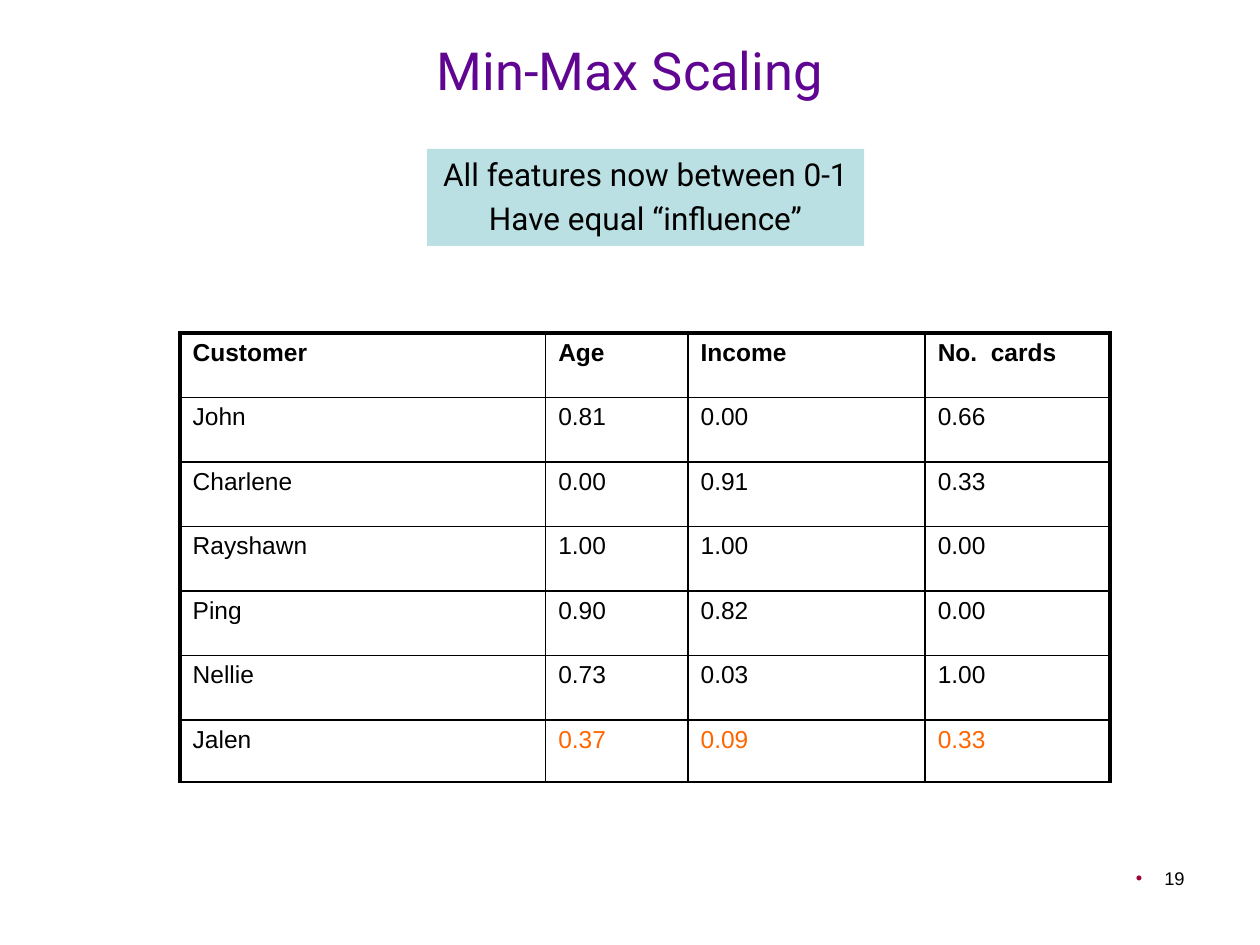
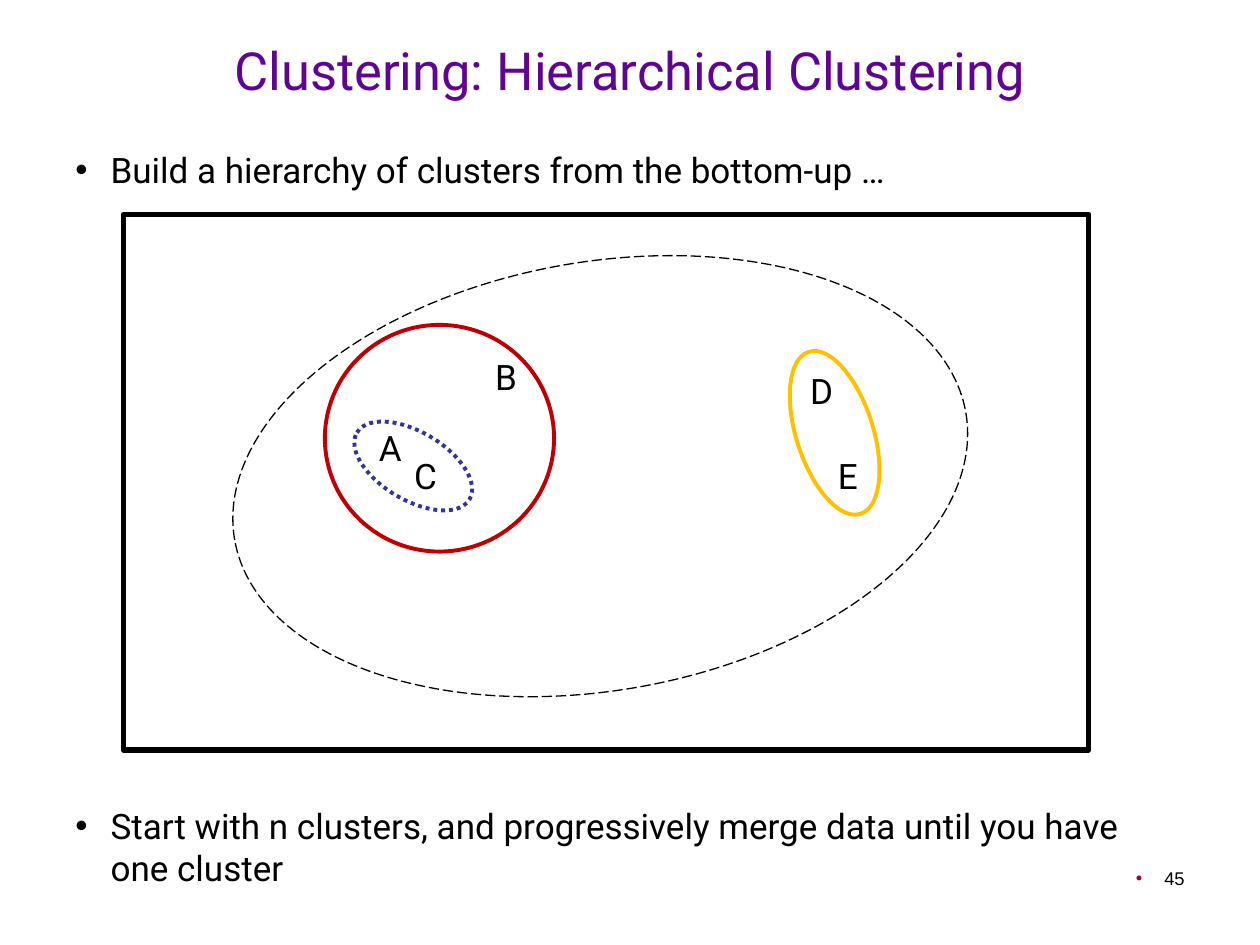
import pptx
import pptx.dml.color
import pptx.enum.dml
import pptx.enum.shapes
import pptx.enum.text
import pptx.oxml
import pptx.oxml.ns
import pptx.util
from pptx.util import Cm

BLACK, PURPLE, WINE, ORANGE, TEAL = "000000", "600592", "990033", "FF6600", "BBE0E3"
ALIGN = pptx.enum.text.PP_ALIGN
ANCHOR = pptx.enum.text.MSO_ANCHOR
DASH = pptx.enum.dml.MSO_LINE
SHAPE = pptx.enum.shapes.MSO_SHAPE
NAMESPACE = pptx.oxml.ns.nsdecls("a")

TITLE_FONT = {"name": "Roboto", "size": 30, "color": PURPLE}
BODY_FONT = {"name": "Roboto", "size": 20, "color": BLACK}
CALLOUT_FONT = BODY_FONT | {"size": 18}
NUMBER_FONT = {"name": "Arial", "size": 10.5, "color": BLACK}
CELL_FONT = {"name": "Arial", "size": 14, "color": BLACK, "bold": False}

TITLE_BOX = (1.27, 0.38, 22.86, 2.03)
NUMBER_BOX = (18.21, 17.35, 5.92, 1.32)

COLUMN_WIDTHS = (7.37, 2.87, 4.78, 3.73)
ROW_HEIGHTS = (1.3,) * 6 + (1.25,)
CUSTOMERS = (
    ("Customer", "Age", "Income", "No.  cards"),
    ("John", "0.81", "0.00", "0.66"),
    ("Charlene", "0.00", "0.91", "0.33"),
    ("Rayshawn", "1.00", "1.00", "0.00"),
    ("Ping", "0.90", "0.82", "0.00"),
    ("Nellie", "0.73", "0.03", "1.00"),
    ("Jalen", "0.37", "0.09", "0.33"),
)

POINTS = {"A": (4.9, 4.16), "E": (14.15, 4.72), "D": (13.59, 3.0), "C": (5.61, 4.72), "B": (7.24, 2.72)}
CLUSTERS = (
    ((4.52, 4.39, 2.64, 1.37), 30.7, "333399", 2.25, DASH.ROUND_DOT),
    ((12.62, 3.63, 3.43, 1.55), 72.3, "FFC000", 2.25, None),
    ((4.06, 2.23, 4.62, 4.57), 0, "C00000", 2.25, None),
    ((2.13, 0.96, 14.96, 8.64), 350.1, BLACK, 0.75, DASH.LONG_DASH),
)


def rgb(value):
    """Turn a hex string into a colour."""
    return pptx.dml.color.RGBColor.from_string(value)


def lengths(box):
    """Turn a box in centimetres into lengths."""
    return [Cm(value) for value in box]


def apply_format(target, values):
    """Set each attribute of the target from a dict."""
    for name, value in values.items():
        if name == "color":
            target.color.rgb = rgb(value)
        elif name == "size":
            target.size = pptx.util.Pt(value)
        else:
            setattr(target, name, value)


def write(frame, lines, font, align=ALIGN.LEFT, bullet_indent=None, bullet_color=BLACK):
    """Fill a text frame with one formatted paragraph per line."""
    for index, line in enumerate(lines):
        paragraph = frame.add_paragraph() if index else frame.paragraphs[0]
        paragraph.alignment = align
        if index:
            paragraph.space_before = pptx.util.Pt(font["size"] * 0.2)
        if bullet_indent:
            add_bullet(paragraph, bullet_indent, bullet_color)
        run = paragraph.add_run()
        run.text = line
        apply_format(run.font, font)


def add_bullet(paragraph, indent, color):
    """Give a paragraph a hanging round bullet."""
    properties = paragraph._p.get_or_add_pPr()
    properties.set("marL", str(Cm(indent)))
    properties.set("indent", str(-Cm(indent)))
    for xml in (
        f'<a:buClr {NAMESPACE}><a:srgbClr val="{color}"/></a:buClr>',
        f'<a:buFont {NAMESPACE} typeface="Arial"/>',
        f'<a:buChar {NAMESPACE} char="•"/>',
    ):
        properties.append(pptx.oxml.parse_xml(xml))


def add_text(slide, box, lines, font, wrap=True, **paragraph_format):
    """Add a text box."""
    text_box = slide.shapes.add_textbox(*lengths(box))
    text_box.text_frame.word_wrap = wrap
    write(text_box.text_frame, lines, font, **paragraph_format)


def add_outline(slide, kind, box, color, width, dash=None, rotation=0):
    """Add an unfilled shape with a line."""
    shape = slide.shapes.add_shape(kind, *lengths(box))
    shape.shadow.inherit = False
    shape.fill.background()
    shape.line.color.rgb = rgb(color)
    shape.line.width = pptx.util.Pt(width)
    if dash:
        shape.line.dash_style = dash
    shape.rotation = rotation


def add_titled_slide(presentation, title, number):
    """Add a slide with its title and page number."""
    slide = presentation.slides.add_slide(presentation.slide_layouts[5])
    placeholder = slide.shapes.title
    left, top, width, height = lengths(TITLE_BOX)
    apply_format(placeholder, {"left": left, "top": top, "width": width, "height": height})
    placeholder.text_frame.vertical_anchor = ANCHOR.MIDDLE
    write(placeholder.text_frame, [title], TITLE_FONT, ALIGN.CENTER)
    add_text(slide, NUMBER_BOX, [str(number)], NUMBER_FONT,
             align=ALIGN.RIGHT, bullet_indent=0.57, bullet_color=WINE)
    return slide


def set_borders(cell, widths):
    """Draw the cell borders, given widths in points by side."""
    properties = cell._tc.get_or_add_tcPr()
    for side, width in widths.items():
        properties.append(pptx.oxml.parse_xml(
            f'<a:ln{side} {NAMESPACE} w="{pptx.util.Pt(width)}"><a:solidFill>'
            f'<a:srgbClr val="{BLACK}"/></a:solidFill></a:ln{side}>'))


def add_customer_table(slide, left, top):
    """Add the table of scaled customer features."""
    box = (left, top, sum(COLUMN_WIDTHS), sum(ROW_HEIGHTS))
    last_row, last_column = len(ROW_HEIGHTS) - 1, len(COLUMN_WIDTHS) - 1
    table = slide.shapes.add_table(last_row + 1, last_column + 1, *lengths(box)).table
    apply_format(table, {"first_row": False, "horz_banding": False})
    for column, width in zip(table.columns, COLUMN_WIDTHS):
        column.width = Cm(width)
    for row, height in zip(table.rows, ROW_HEIGHTS):
        row.height = Cm(height)
    for row, values in enumerate(CUSTOMERS):
        for column, value in enumerate(values):
            cell = table.cell(row, column)
            set_borders(cell, {
                "L": 1 if column else 2.25,
                "R": 2.25 if column == last_column else 1,
                "T": 1 if row else 2.25,
                "B": 1,
            })
            cell.fill.background()
            color = ORANGE if row == last_row and column else BLACK
            write(cell.text_frame, [value], CELL_FONT | {"bold": row == 0, "color": color})


def add_callout(slide, box, lines):
    """Add a filled box with centred lines."""
    shape = slide.shapes.add_shape(SHAPE.RECTANGLE, *lengths(box))
    shape.shadow.inherit = False
    shape.fill.solid()
    shape.fill.fore_color.rgb = rgb(TEAL)
    shape.line.fill.background()
    apply_format(shape.text_frame, {"word_wrap": False, "vertical_anchor": ANCHOR.TOP})
    write(shape.text_frame, lines, CALLOUT_FONT, ALIGN.CENTER)


def add_cluster_diagram(slide, box):
    """Add the frame with its points and nested clusters."""
    left, top = box[:2]
    add_outline(slide, SHAPE.RECTANGLE, box, BLACK, 3)
    for letter, (x, y) in POINTS.items():
        add_text(slide, (left + x, top + y, 0.94, 1.12), [letter], BODY_FONT, wrap=False)
    for (x, y, width, height), rotation, color, weight, dash in CLUSTERS:
        add_outline(slide, SHAPE.OVAL, (left + x, top + y, width, height), color, weight, dash, rotation)


def build_scaling_slide(presentation):
    """Build the slide on min-max scaling."""
    slide = add_titled_slide(presentation, "Min-Max Scaling", 19)
    add_customer_table(slide, 3.63, 6.71)
    add_callout(slide, (8.61, 3, 8.81, 1.96), ["All features now between 0-1", "Have equal “influence”"])


def build_clustering_slide(presentation):
    """Build the slide on hierarchical clustering."""
    slide = add_titled_slide(presentation, "Clustering: Hierarchical Clustering", 45)
    add_text(slide, (1.27, 2.87, 21.64, 2.03),
             ["Build a hierarchy of clusters from the bottom-up …"], BODY_FONT, bullet_indent=0.71)
    add_cluster_diagram(slide, (2.49, 4.32, 19.46, 10.8))
    add_text(slide, (1.27, 16.1, 22.33, 2.03),
             ["Start with n clusters, and progressively merge data until you have one cluster"],
             BODY_FONT, bullet_indent=0.71)


def main():
    """Build and save the presentation."""
    presentation = pptx.Presentation()
    apply_format(presentation, {"slide_width": Cm(25.4), "slide_height": Cm(19.05)})
    build_scaling_slide(presentation)
    build_clustering_slide(presentation)
    presentation.save("out.pptx")


if __name__ == "__main__":
    main()
